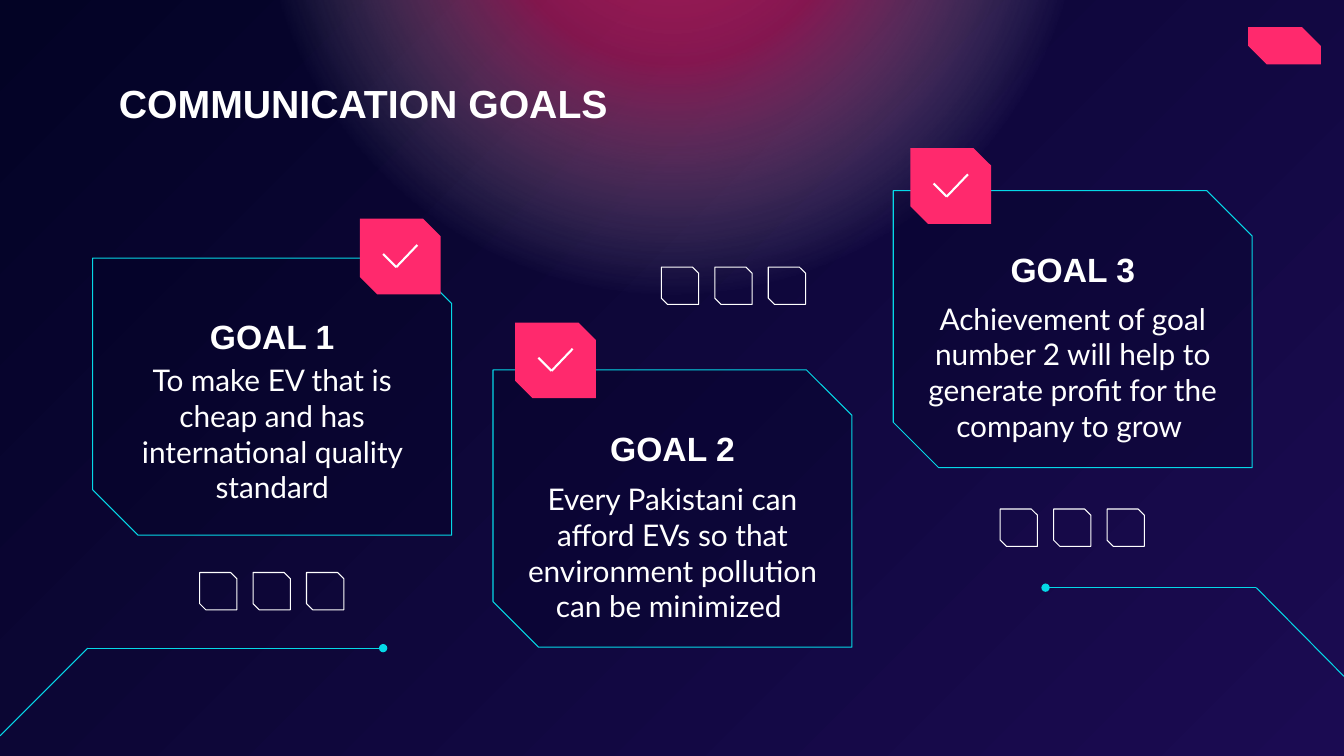
import pptx
import pptx.dml.color
import pptx.enum.shapes
import pptx.enum.text
import pptx.oxml
import pptx.oxml.ns
import pptx.util
from pptx.util import Inches

COLORS = {
    "night": "030325",
    "violet": "1B0B52",
    "pink": "FF296D",
    "cyan": "05D8E7",
    "white": "FFFFFF",
}
SHAPES = pptx.enum.shapes.MSO_SHAPE
ALIGN = pptx.enum.text.PP_ALIGN
ANCHOR = pptx.enum.text.MSO_ANCHOR

HEADING = {"name": "Arial", "size": pptx.util.Pt(24), "bold": True}
TITLE = {**HEADING, "size": pptx.util.Pt(28)}
BODY = {"name": "Lato", "size": pptx.util.Pt(21.3), "bold": False}

# card corner, badge corner, drop from card top to body, heading, body
GOALS = [
    ((0.92, 2.56), (3.57, 2.17), 0.9, "GOAL 1",
     "To make EV that is cheap and has international quality standard"),
    ((4.89, 3.67), (5.11, 3.2), 0.97, "GOAL 2",
     "Every Pakistani can afford EVs so that environment pollution can be minimized "),
    ((8.86, 1.89), (9.03, 1.47), 0.96, "GOAL 3",
     "Achievement of goal number 2 will help to generate profit for the company to grow "),
]
SQUARE_ROWS = [(6.56, 2.65), (1.98, 5.68), (9.92, 5.05)]
CIRCUITS = [
    [(13.33, 6.71), (12.46, 5.83), (10.37, 5.83)],
    [(0, 7.3), (0.87, 6.43), (3.8, 6.43)],
]
GLOW_STOPS = [(0, "pink", 67), (30, "pink", 49), (69, "white", 0), (100, "white", 0)]


def rgb(color):
    return pptx.dml.color.RGBColor.from_string(COLORS[color])


def a_element(xml):
    return pptx.oxml.parse_xml(xml.replace(" ", f" {pptx.oxml.ns.nsdecls('a')} ", 1))


def set_background(s):
    fill = s.background.fill
    fill.gradient()
    fill.gradient_angle = 315
    for stop, color in zip(fill.gradient_stops, ("night", "violet")):
        stop.color.rgb = rgb(color)


def add_glow(s):
    """Add the circle that fades outwards from pink to clear."""
    sp = s.shapes.add_shape(SHAPES.OVAL, Inches(2.5), Inches(-5.31), Inches(8.34), Inches(8.34))
    sp.shadow.inherit = False
    sp.line.fill.background()
    stops = "".join(
        f'<a:gs pos="{pos * 1000}"><a:srgbClr val="{COLORS[color]}">'
        f'<a:alpha val="{alpha * 1000}"/></a:srgbClr></a:gs>'
        for pos, color, alpha in GLOW_STOPS
    )
    gradient = a_element(
        f'<a:gradFill rotWithShape="1"><a:gsLst>{stops}</a:gsLst><a:path path="circle">'
        '<a:fillToRect l="50000" t="50000" r="50000" b="50000"/></a:path></a:gradFill>'
    )
    sp._element.spPr.find(pptx.oxml.ns.qn("a:prstGeom")).addnext(gradient)


def add_snipped(s, x, y, w, h, snip, fill=None, line=None, alpha=None):
    """Add a rectangle with two opposite corners cut; alpha is percent opacity."""
    sp = s.shapes.add_shape(SHAPES.SNIP_2_DIAG_RECTANGLE, Inches(x), Inches(y), Inches(w), Inches(h))
    sp.shadow.inherit = False
    sp.adjustments[0] = 0
    sp.adjustments[1] = snip
    if fill:
        sp.fill.solid()
        sp.fill.fore_color.rgb = rgb(fill)
    else:
        sp.fill.background()
    if alpha is not None:
        clr = sp._element.spPr.find(".//" + pptx.oxml.ns.qn("a:srgbClr"))
        clr.append(a_element(f'<a:alpha val="{alpha * 1000}"/>'))
    if line:
        sp.line.color.rgb = rgb(line)
        sp.line.width = pptx.util.Pt(0.75)
    else:
        sp.line.fill.background()


def add_text(s, x, y, w, h, text, font, align=ALIGN.CENTER, anchor=ANCHOR.TOP):
    tf = s.shapes.add_textbox(Inches(x), Inches(y), Inches(w), Inches(h)).text_frame
    frame = {"word_wrap": True, "vertical_anchor": anchor}
    for side in ("left", "top", "right", "bottom"):
        frame[f"margin_{side}"] = Inches(0.13)
    for name, value in frame.items():
        setattr(tf, name, value)
    p = tf.paragraphs[0]
    p.alignment = align
    r = p.add_run()
    r.text = text
    for name, value in font.items():
        setattr(r.font, name, value)
    r.font.color.rgb = rgb("white")


def add_path(s, points, color, width, dot_end=False):
    """Join the points with straight lines, with a dot at the last one if asked."""
    for (x1, y1), (x2, y2) in zip(points, points[1:]):
        line = s.shapes.add_connector(
            pptx.enum.shapes.MSO_CONNECTOR.STRAIGHT,
            Inches(x1), Inches(y1), Inches(x2), Inches(y2))
        line.line.color.rgb = rgb(color)
        line.line.width = pptx.util.Pt(width)
        line._element.spPr.append(a_element("<a:effectLst />"))
    if dot_end:
        line.line._get_or_add_ln().append(a_element('<a:tailEnd type="oval"/>'))


def add_badge(s, x, y):
    add_snipped(s, x, y, 0.8, 0.75, 0.23, fill="pink")
    check = [(0.23, 0.35), (0.36, 0.48), (0.57, 0.26)]
    add_path(s, [(x + dx, y + dy) for dx, dy in check], "white", 1.5)


def add_goal(s, card, badge, body_drop, heading, body):
    x, y = card
    add_snipped(s, x, y, 3.56, 2.75, 0.164, fill="night", line="cyan", alpha=31)
    add_text(s, x + 0.13, y + 0.44, 3.3, 0.67, heading, HEADING, anchor=ANCHOR.MIDDLE)
    add_text(s, x + 0.13, y + body_drop, 3.3, 1.58, body, BODY)
    add_badge(s, *badge)


def add_square_row(s, x, y):
    for i in range(3):
        add_snipped(s, x + i * 0.53, y, 0.37, 0.37, 0.167, line="white")


def main():
    prs = pptx.Presentation()
    prs.slide_width, prs.slide_height = Inches(13.33), Inches(7.5)
    s = prs.slides.add_slide(prs.slide_layouts[6])
    set_background(s)
    add_glow(s)
    add_snipped(s, 12.38, 0.27, 0.72, 0.37, 0.5, fill="pink")
    add_text(s, 1.05, 0.66, 10.46, 0.9, "COMMUNICATION GOALS", TITLE, ALIGN.LEFT)
    for goal in GOALS:
        add_goal(s, *goal)
    for x, y in SQUARE_ROWS:
        add_square_row(s, x, y)
    for points in CIRCUITS:
        add_path(s, points, "cyan", 0.75, dot_end=True)
    prs.save("out.pptx")


if __name__ == "__main__":
    main()
